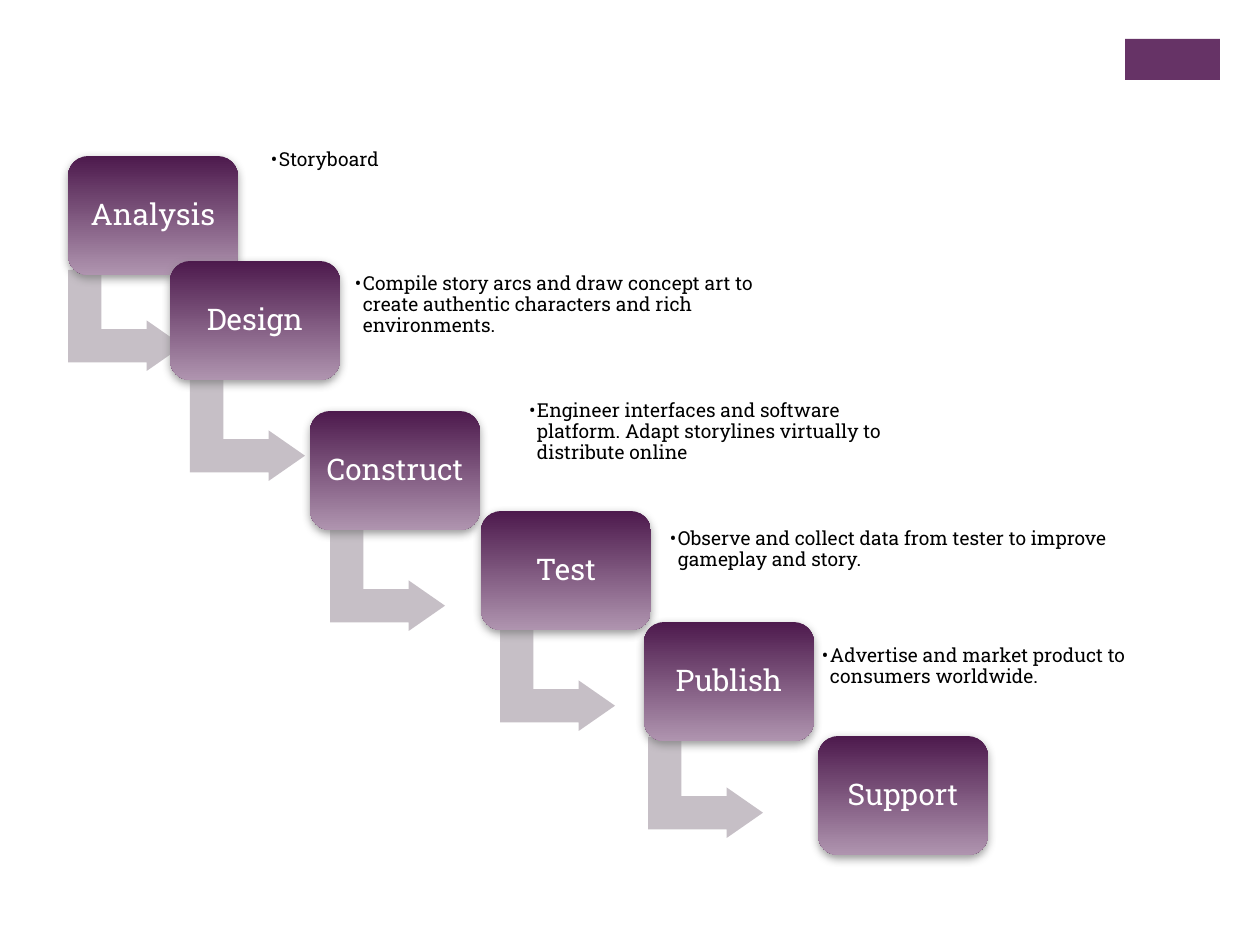
from lxml.etree import SubElement as Sub
from pptx import Presentation
from pptx.dml.color import RGBColor
from pptx.enum.shapes import MSO_SHAPE as Kind
from pptx.enum.text import MSO_ANCHOR as Anchor, PP_ALIGN as Align
from pptx.oxml.ns import qn
from pptx.util import Pt

PLUM = RGBColor(0x66, 0x33, 0x66)
DARK = RGBColor(0x4D, 0x1A, 0x4D)
LIGHT = RGBColor(0xAF, 0x94, 0xAF)
GRAY = RGBColor(0xC6, 0xBF, 0xC6)
WHITE = RGBColor(0xFF, 0xFF, 0xFF)
BLACK = RGBColor(0, 0, 0)
FONT = "Roboto Slab"

TAG = (1125, 39, 95, 41)
STEP_W, STEP_H = 170, 119
ARROW_W, ARROW_H = 101, 115
STEPS = [
    ("Analysis", (68, 156), (75, 263), "Storyboard", (263, 112, 136, 96)),
    ("Design", (170, 261), (197, 373),
     "Compile story arcs and draw concept art to create authentic "
     "characters and rich environments.", (347, 257, 469, 96)),
    ("Construct", (310, 411), (337, 523),
     "Engineer interfaces and software platform. Adapt storylines "
     "virtually to distribute online", (521, 371, 394, 122)),
    ("Test", (481, 511), (507, 623),
     "Observe and collect data from tester to improve gameplay and story.",
     (662, 502, 471, 96)),
    ("Publish", (644, 622), (655, 730),
     "Advertise and market product to consumers worldwide.",
     (814, 620, 415, 93)),
    ("Support", (818, 736), None, None, None),
]


def px(n):
    return round(n * 914400 / 126)


def shape(kind, box, color=None):
    item = slide.shapes.add_shape(kind, *map(px, box))
    item.shadow.inherit = False
    item.line.fill.background()
    if color is not None:
        item.fill.solid()
        item.fill.fore_color.rgb = color
    return item


def write(item, text, size, color, pad, after):
    frame = item.text_frame
    frame.text = text
    frame.word_wrap = True
    frame.vertical_anchor = Anchor.MIDDLE
    frame.margin_left = frame.margin_right = px(pad)
    frame.margin_top = frame.margin_bottom = px(pad)
    para = frame.paragraphs[0]
    para.line_spacing = 0.9
    para.space_after = Pt(after)
    font = para.runs[0].font
    font.name, font.size, font.color.rgb = FONT, Pt(size), color
    return para


def shade(item):
    effects = item.shadow._element.find(qn("a:effectLst"))
    outer = Sub(effects, qn("a:outerShdw"), blurRad=str(Pt(5)),
                dist=str(Pt(2)), dir="5400000", rotWithShape="0")
    tint = Sub(outer, qn("a:srgbClr"), val="808080")
    Sub(tint, qn("a:alpha"), val="75000")


def arrow(spot):
    item = shape(Kind.BENT_UP_ARROW, (*spot, ARROW_W, ARROW_H), GRAY)
    item.rotation = 90
    for i, val in enumerate((0.33, 0.25, 0.36)):
        item.adjustments[i] = val


def step(name, spot):
    item = shape(Kind.ROUNDED_RECTANGLE, (*spot, STEP_W, STEP_H))
    item.adjustments[0] = 0.17
    item.fill.gradient()
    item.fill.gradient_angle = 270
    for stop, color, at in zip(item.fill.gradient_stops, (DARK, LIGHT), (0, 1)):
        stop.color.rgb, stop.position = color, at
    shade(item)
    write(item, name, 17, WHITE, 9, 6).alignment = Align.CENTER


def note(text, box):
    item = slide.shapes.add_textbox(*map(px, box))
    para = write(item, text, 11, BLACK, 8, 2)
    para.level = 1
    props = para._p.get_or_add_pPr()
    props.set("marL", str(px(8)))
    props.set("indent", str(-px(8)))
    Sub(props, qn("a:buFont"), typeface=FONT)
    Sub(props, qn("a:buChar"), char="•")


deck = Presentation()
deck.slide_width, deck.slide_height = px(1260), px(945)
slide = deck.slides.add_slide(deck.slide_layouts[6])

shape(Kind.RECTANGLE, TAG, PLUM)
for name, spot, bend, text, box in STEPS:
    if bend:
        arrow(bend)
    step(name, spot)
    if text:
        note(text, box)

deck.save("out.pptx")
